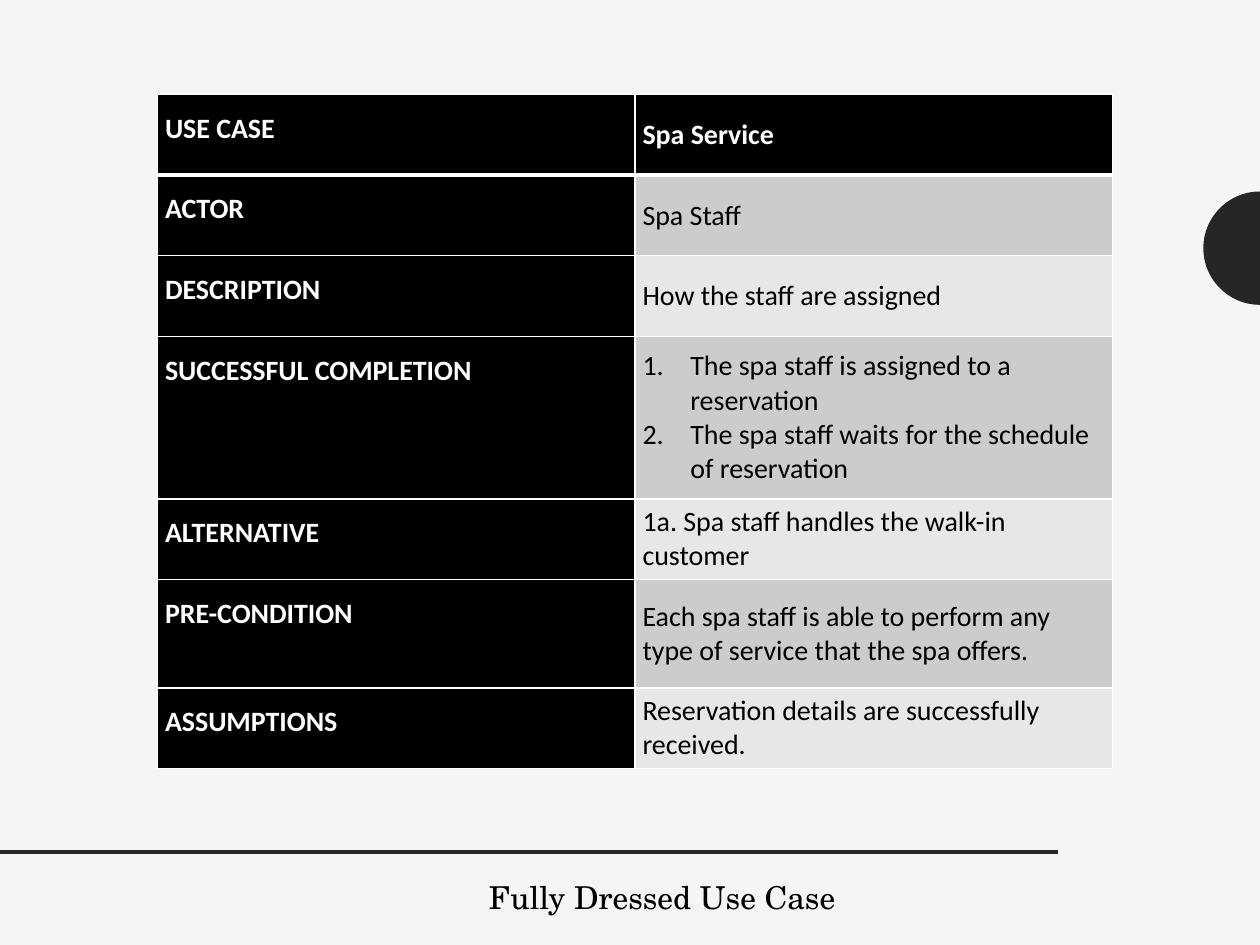
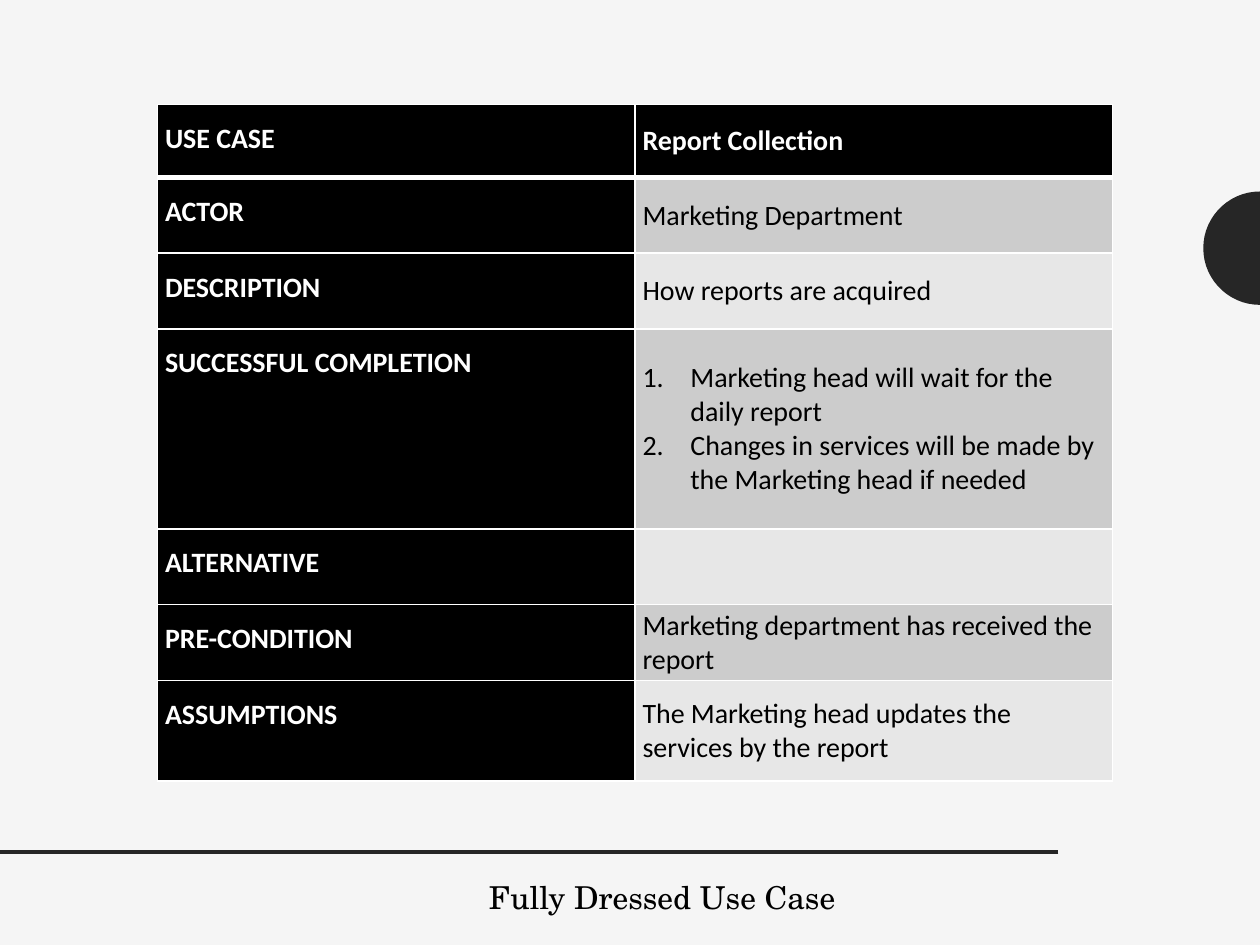
"""Build two slides, each showing a fully dressed use case as a table."""
import math

from lxml import etree
from pptx import Presentation
from pptx.dml.color import RGBColor
from pptx.enum.shapes import MSO_CONNECTOR
from pptx.enum.text import MSO_ANCHOR, MSO_AUTO_SIZE, PP_ALIGN
from pptx.oxml.ns import qn
from pptx.util import Inches, Pt

STRAIGHT = MSO_CONNECTOR.STRAIGHT
TOP, MIDDLE = MSO_ANCHOR.TOP, MSO_ANCHOR.MIDDLE
CENTER, LEFT, JUSTIFY = PP_ALIGN.CENTER, PP_ALIGN.LEFT, PP_ALIGN.JUSTIFY
GROW = MSO_AUTO_SIZE.SHAPE_TO_FIT_TEXT

COLORS = {
    "page": "F5F5F5",
    "accent": "262626",
    "black": "000000",
    "white": "FFFFFF",
    "odd_row": "CCCCCC",
    "even_row": "E7E7E7",
}
TITLE = "Fully Dressed Use Case"
TITLE_FONT, TABLE_FONT = "TeX Gyre Schola", "Calibri"
LABELS = ["USE CASE", "ACTOR", "DESCRIPTION", "SUCCESSFUL COMPLETION",
          "ALTERNATIVE", "PRE-CONDITION", "ASSUMPTIONS"]
STEPS_ROW = LABELS.index("SUCCESSFUL COMPLETION")
COLUMN_WIDTH = 3.79
CIRCLE_X, CIRCLE_Y, CIRCLE_RADIUS = 10, 1.97, 0.45

USE_CASES = [
    {
        "top": 0.75,
        "heights": [0.64, 0.64, 0.64, 1.29, 0.64, 0.86, 0.64],
        "details": [
            ["Spa Service"],
            ["Spa Staff"],
            ["How the staff are assigned"],
            ["The spa staff is assigned to a reservation",
             "The spa staff waits for the schedule of reservation"],
            ["1a. Spa staff handles the walk-in customer"],
            ["Each spa staff is able to perform any type of service "
             "that the spa offers."],
            ["Reservation details are successfully received."],
        ],
    },
    {
        "top": 0.83,
        "heights": [0.58, 0.6, 0.6, 1.59, 0.6, 0.6, 0.8],
        "details": [
            ["Report Collection"],
            ["Marketing Department"],
            ["How reports are acquired"],
            ["Marketing head will wait for the daily report",
             "Changes in services will be made by the Marketing head if needed"],
            [],
            ["Marketing department has received the report"],
            ["The Marketing head updates the services by the report"],
        ],
    },
]


def add_run(para, text, font, size, color, bold=False):
    span = para.add_run()
    span.text = text
    span.font.name = font
    span.font.size = Pt(size)
    span.font.bold = bold
    span.font.color.rgb = RGBColor.from_string(COLORS[color])


def set_borders(cell, widths):
    properties = cell._tc.get_or_add_tcPr()
    for position, (side, width) in enumerate(widths.items()):
        line = etree.Element(qn(f"a:ln{side}"), w=str(Pt(width)))
        fill = etree.SubElement(line, qn("a:solidFill"))
        etree.SubElement(fill, qn("a:srgbClr"), val=COLORS["white"])
        properties.insert(position, line)


deck = Presentation()
deck.slide_width, deck.slide_height = Inches(10), Inches(7.5)
title_only = deck.slide_layouts[5]
page_fill = deck.slide_master.background.fill
page_fill.solid()
page_fill.fore_color.rgb = RGBColor.from_string(COLORS["page"])

arc = []
for degrees in range(90, 271, 6):
    angle = math.radians(degrees)
    arc.append((Inches(CIRCLE_X + CIRCLE_RADIUS * math.cos(angle)),
                Inches(CIRCLE_Y - CIRCLE_RADIUS * math.sin(angle))))

for use_case in USE_CASES:
    page = deck.slides.add_slide(title_only)

    builder = page.shapes.build_freeform(*arc[0])
    builder.add_line_segments(arc[1:], close=True)
    half_circle = builder.convert_to_shape()
    half_circle.shadow.inherit = False
    half_circle.fill.solid()
    half_circle.fill.fore_color.rgb = RGBColor.from_string(COLORS["accent"])
    half_circle.line.fill.background()

    rule = page.shapes.add_connector(
        STRAIGHT, Inches(8.4), Inches(6.76), Inches(0), Inches(6.76))
    rule.line.color.rgb = RGBColor.from_string(COLORS["accent"])
    rule.line.width = Pt(2)
    etree.SubElement(rule._element.spPr, qn("a:effectLst"))

    title = page.shapes.title
    title.left, title.top = Inches(2.17), Inches(6.92)
    title.width, title.height = Inches(6.17), Inches(0.4)
    title.text_frame.word_wrap = True
    title.text_frame.auto_size = GROW
    title.text_frame.vertical_anchor = TOP
    para = title.text_frame.paragraphs[0]
    para.alignment = CENTER
    add_run(para, TITLE, TITLE_FONT, 18, "black")

    table = page.shapes.add_table(
        len(LABELS), 2, Inches(1.25), Inches(use_case["top"]),
        Inches(2 * COLUMN_WIDTH), Inches(sum(use_case["heights"]))).table
    table.first_col = True
    for column in table.columns:
        column.width = Inches(COLUMN_WIDTH)

    for row, label in enumerate(LABELS):
        table.rows[row].height = Inches(use_case["heights"][row])
        borders = {"L": 1, "R": 1, "T": 3 if row == 1 else 1,
                   "B": 3 if row == 0 else 1}
        band = "black" if row == 0 else "odd_row" if row % 2 else "even_row"
        label_cell, detail_cell = table.cell(row, 0), table.cell(row, 1)
        for cell, color, anchor in ((label_cell, "black", TOP),
                                    (detail_cell, band, MIDDLE)):
            cell.margin_left = cell.margin_right = Inches(0.06)
            cell.margin_top = cell.margin_bottom = Inches(0)
            cell.vertical_anchor = anchor
            cell.fill.solid()
            cell.fill.fore_color.rgb = RGBColor.from_string(COLORS[color])
            set_borders(cell, borders)

        para = label_cell.text_frame.paragraphs[0]
        para.alignment = JUSTIFY
        para.line_spacing = 1.5
        add_run(para, label, TABLE_FONT, 16, "white", bold=True)

        frame = detail_cell.text_frame
        for index, text in enumerate(use_case["details"][row]):
            para = frame.add_paragraph() if index else frame.paragraphs[0]
            para.alignment = LEFT
            if row == STEPS_ROW:
                properties = para._p.get_or_add_pPr()
                properties.set("marL", str(Inches(0.38)))
                properties.set("indent", str(-Inches(0.38)))
                etree.SubElement(properties, qn("a:buAutoNum"), type="arabicPeriod")
            add_run(para, text, TABLE_FONT, 16,
                    "white" if row == 0 else "black", bold=row == 0)

deck.save("out.pptx")
